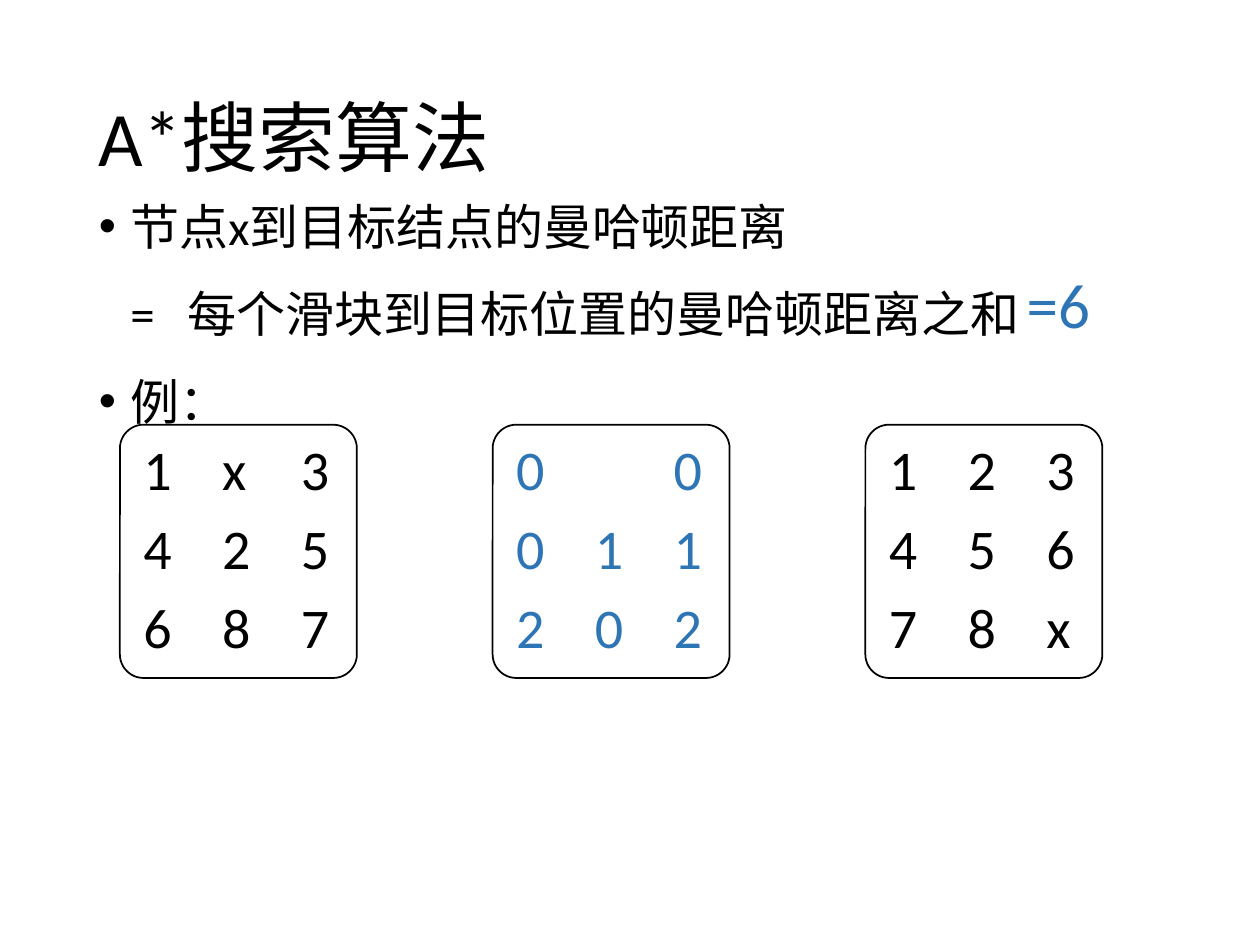
"""Build a slide on the Manhattan distance heuristic of the A* search algorithm."""
from dataclasses import dataclass

from lxml.etree import SubElement
from pptx import Presentation
from pptx.dml.color import RGBColor
from pptx.enum.shapes import MSO_SHAPE
from pptx.enum.text import MSO_ANCHOR, PP_ALIGN
from pptx.oxml.ns import qn
from pptx.util import Pt

BLACK = RGBColor(0x00, 0x00, 0x00)
BLUE = RGBColor(0x2E, 0x75, 0xB6)
FONT = "Calibri"
BOARD_LEFT, BOARD_TOP, BOARD_PITCH = 68.5, 242.7, 213
BOARD_WIDTH, BOARD_HEIGHT = 135.4, 144.7
TILE_PITCH = 45


@dataclass(frozen=True)
class Line:
    text: str
    hanging: float
    bullet: bool = False


@dataclass(frozen=True)
class Board:
    rows: tuple[str, ...]
    color: RGBColor


BODY = (
    Line("节点x到目标结点的曼哈顿距离", 18, True),
    Line("=\t每个滑块到目标位置的曼哈顿距离之和", 32.5),
    Line("例：", 18, True),
)
BOARDS = (
    Board(("1\tx\t3", "4\t2\t5", "6\t8\t7"), BLACK),
    Board(("0\t\t0", "0\t1\t1", "2\t0\t2"), BLUE),
    Board(("1\t2\t3", "4\t5\t6", "7\t8\tx"), BLACK),
)


def style(paragraph, size: float, color: RGBColor) -> None:
    paragraph.font.name = FONT
    paragraph.font.size = Pt(size)
    paragraph.font.color.rgb = color


def add_text(slide, left: float, top: float, width: float, height: float):
    box = slide.shapes.add_textbox(Pt(left), Pt(top), Pt(width), Pt(height))
    box.text_frame.word_wrap = True
    return box.text_frame


def add_title(slide) -> None:
    frame = add_text(slide, 49.5, 28.8, 621, 104.4)
    frame.vertical_anchor = MSO_ANCHOR.MIDDLE
    frame.text = "A*搜索算法"
    frame.paragraphs[0].line_spacing = 0.9
    style(frame.paragraphs[0], 44, BLACK)


def add_body(slide) -> None:
    frame = add_text(slide, 49.5, 102.2, 621, 437.8)
    frame.text = "\n".join(line.text for line in BODY)
    for paragraph, line in zip(frame.paragraphs, BODY):
        style(paragraph, 28, BLACK)
        paragraph.line_spacing = Pt(40)
        paragraph.space_before = Pt(10)
        properties = paragraph._p.get_or_add_pPr()
        properties.set("marL", str(Pt(18 if line.bullet else 18 + line.hanging)))
        properties.set("indent", str(-Pt(line.hanging)))
        if line.bullet:
            SubElement(properties, qn("a:buFont"), typeface="Arial")
            SubElement(properties, qn("a:buChar"), char="•")


def add_board(slide, board: Board, left: float) -> None:
    shape = slide.shapes.add_shape(
        MSO_SHAPE.ROUNDED_RECTANGLE,
        Pt(left), Pt(BOARD_TOP), Pt(BOARD_WIDTH), Pt(BOARD_HEIGHT),
    )
    shape.adjustments[0] = 0.1
    shape.shadow.inherit = False
    shape.fill.background()
    shape.line.color.rgb = BLACK
    shape.line.width = Pt(1)
    frame = shape.text_frame
    frame.margin_left = Pt(9.5)
    frame.margin_right = Pt(0)
    frame.vertical_anchor = MSO_ANCHOR.MIDDLE
    frame.text = "\n".join(board.rows)
    for paragraph in frame.paragraphs:
        style(paragraph, 32, board.color)
        paragraph.alignment = PP_ALIGN.LEFT
        paragraph.line_spacing = 0.9
        paragraph.space_after = Pt(10.3)
        tabs = SubElement(paragraph._p.get_or_add_pPr(), qn("a:tabLst"))
        for column in (1, 2):
            SubElement(tabs, qn("a:tab"), pos=str(Pt(column * TILE_PITCH)), algn="l")
        properties = paragraph._p.get_or_add_pPr()
        properties.remove(tabs)
        properties.find(qn("a:defRPr")).addprevious(tabs)


def add_total(slide) -> None:
    frame = add_text(slide, 579.6, 148.3, 80.6, 51)
    frame.text = "=6"
    style(frame.paragraphs[0], 36, BLUE)


def main() -> None:
    presentation = Presentation()
    presentation.slide_width = Pt(720)
    presentation.slide_height = Pt(540)
    slide = presentation.slides.add_slide(presentation.slide_layouts[6])
    add_title(slide)
    add_body(slide)
    for index, board in enumerate(BOARDS):
        add_board(slide, board, BOARD_LEFT + index * BOARD_PITCH)
    add_total(slide)
    presentation.save("out.pptx")


main()
